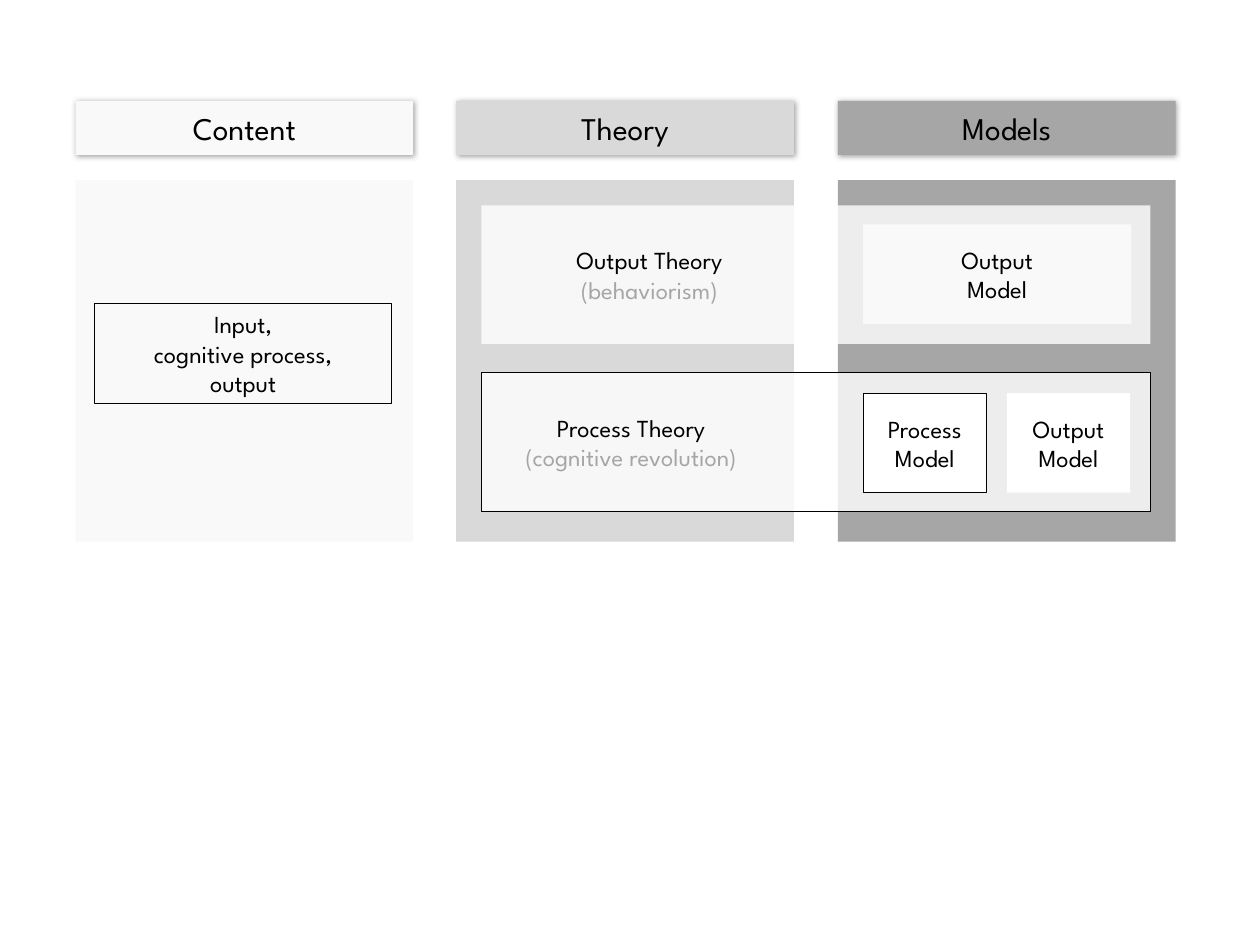
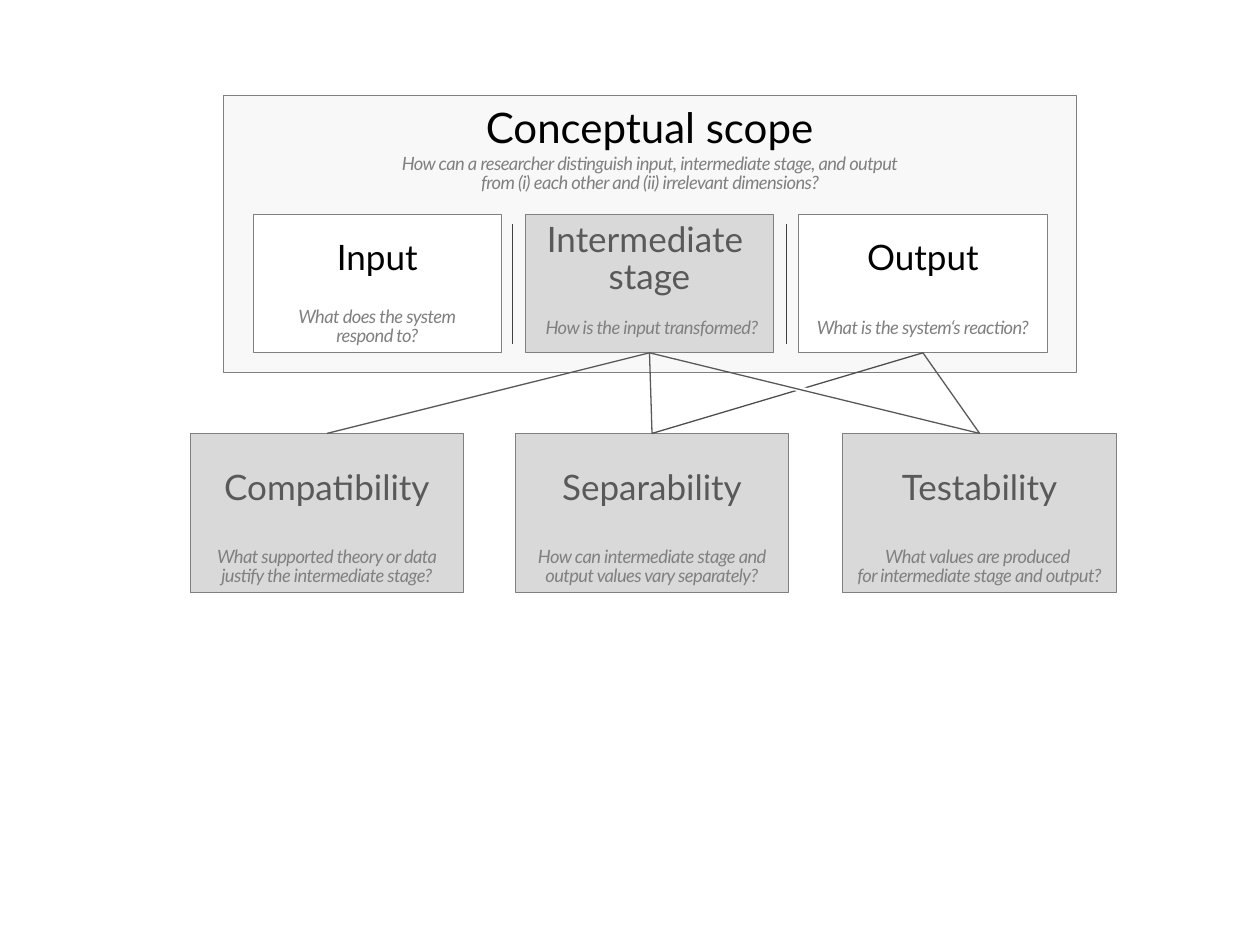
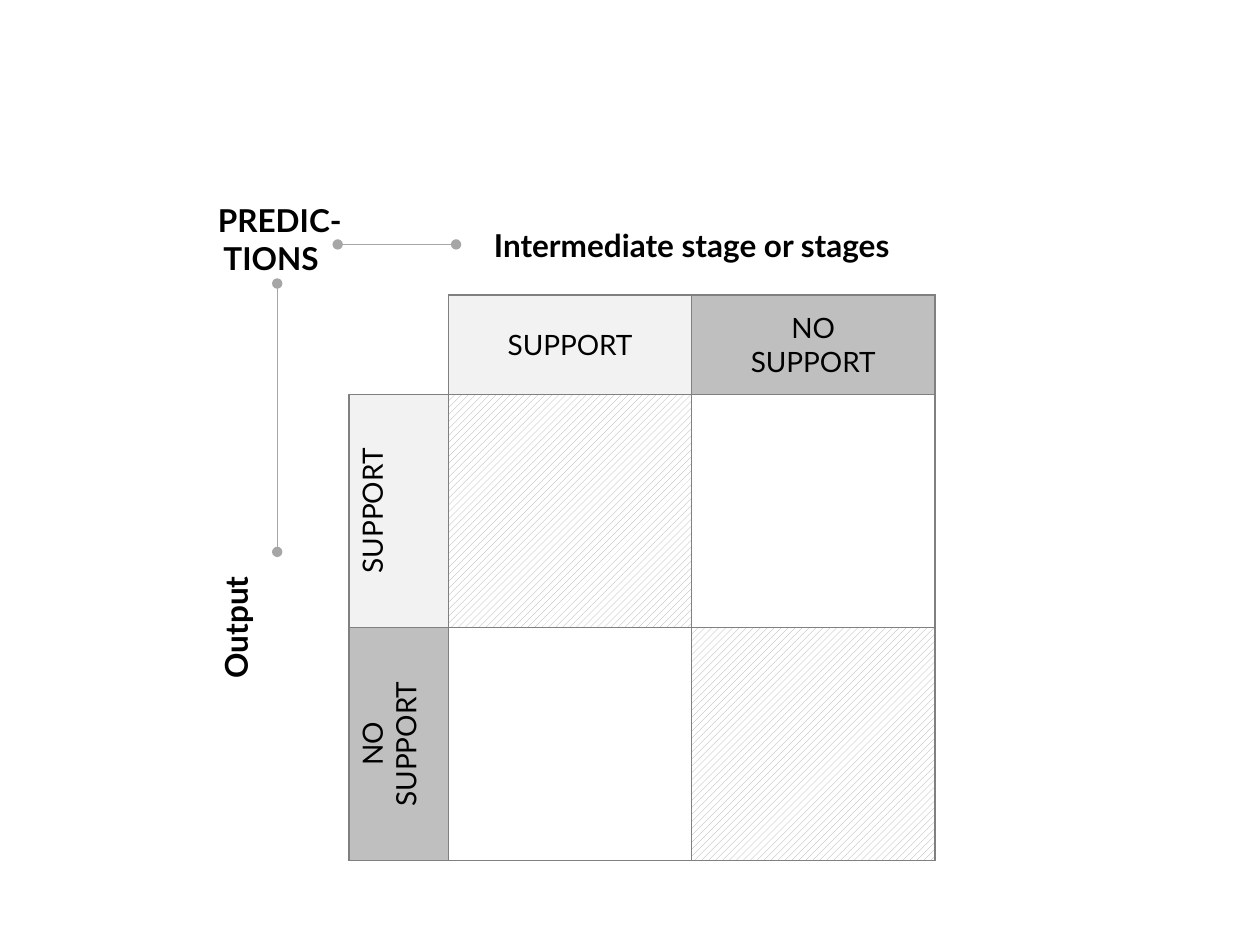
from lxml.etree import SubElement
from pptx import Presentation
from pptx.dml.color import RGBColor
from pptx.enum.dml import MSO_PATTERN
from pptx.enum.shapes import MSO_CONNECTOR, MSO_SHAPE
from pptx.enum.text import MSO_ANCHOR as ANCHOR, PP_ALIGN as ALIGN
from pptx.oxml.ns import qn
from pptx.util import Inches, Pt

BLACK = RGBColor(0x00, 0x00, 0x00)
CHARCOAL = RGBColor(0x40, 0x40, 0x40)
SLATE = RGBColor(0x4E, 0x4E, 0x4E)
DARK = RGBColor(0x59, 0x59, 0x59)
GREY = RGBColor(0x80, 0x80, 0x80)
MID = RGBColor(0xA6, 0xA6, 0xA6)
SILVER = RGBColor(0xBF, 0xBF, 0xBF)
LIGHT = RGBColor(0xD9, 0xD9, 0xD9)
PALE = RGBColor(0xF2, 0xF2, 0xF2)
MIST = RGBColor(0xF8, 0xF8, 0xF8)
SNOW = RGBColor(0xF9, 0xF9, 0xF9)
WHITE = RGBColor(0xFF, 0xFF, 0xFF)

SPARTAN = "League Spartan"
LATO = "Lato"


class Deck:
    """Holds the presentation, the current slide and the shared style."""

    def __init__(self):
        self.prs = Presentation()
        self.prs.slide_width, self.prs.slide_height = Inches(10), Inches(7.5)
        self.font = LATO

    def new_slide(self, font):
        self.s = self.prs.slides.add_slide(self.prs.slide_layouts[6])
        self.font = font

    def put_text(self, tf, paras, size, color=BLACK, last_color=None, bold=False,
                 italic=False, leading=None, tracking=None, margin=None):
        for i, text in enumerate(paras):
            p = tf.paragraphs[0] if i == 0 else tf.add_paragraph()
            p.alignment = ALIGN.CENTER
            p.font.name, p.font.size = self.font, Pt(size)
            p.font.color.rgb = color
            p.font.bold, p.font.italic = bold, italic
            if leading:
                p.line_spacing = Pt(leading)
            if margin:
                p._p.get_or_add_pPr().set("marL", str(Inches(margin)))
            for j, line in enumerate(text.split("\n")):
                if j:
                    p.add_line_break()
                r = p.add_run()
                r.text = line
                if tracking:
                    r._r.get_or_add_rPr().set("spc", str(tracking))
            if last_color is not None:
                r.font.color.rgb = last_color

    def box(self, x, y, w, h, fill=None, line=None, paras=(), size=14, alpha=None,
            right=0.1, bottom=0.05, anchor=ANCHOR.MIDDLE, shadow=False, **style):
        sp = self.s.shapes.add_shape(MSO_SHAPE.RECTANGLE, Inches(x), Inches(y),
                                     Inches(w), Inches(h))
        sp.shadow.inherit = False
        if fill is None:
            sp.fill.background()
        else:
            sp.fill.solid()
            sp.fill.fore_color.rgb = fill
        if alpha:
            clr = sp._element.spPr.find(".//" + qn("a:srgbClr"))
            SubElement(clr, qn("a:alpha"), val=str(alpha * 1000))
        if line is None:
            sp.line.fill.background()
        else:
            sp.line.color.rgb = line
            sp.line.width = Pt(0.5)
        if shadow:
            self.add_shadow(sp)
        tf = sp.text_frame
        tf.word_wrap = False
        tf.vertical_anchor = anchor
        tf.margin_right, tf.margin_bottom = Inches(right), Inches(bottom)
        self.put_text(tf, paras, size, **style)
        return sp

    def add_shadow(self, sp):
        effects = sp._element.spPr.find(qn("a:effectLst"))
        outer = SubElement(effects, qn("a:outerShdw"), blurRad=str(Pt(3)),
                           dist=str(Pt(1)), dir=str(45 * 60000), rotWithShape="0")
        clr = SubElement(outer, qn("a:srgbClr"), val=str(GREY))
        SubElement(clr, qn("a:alpha"), val="73000")

    def question(self, x, y, w, h, text):
        sp = self.s.shapes.add_textbox(Inches(x), Inches(y), Inches(w), Inches(h))
        tf = sp.text_frame
        tf.word_wrap = True
        tf.margin_left = tf.margin_right = tf.margin_bottom = Inches(0.04)
        tf.margin_top = 0
        self.put_text(tf, [text], 10.5, GREY, italic=True, leading=11, tracking=-30)

    def line(self, x1, y1, x2, y2, color, width=0.75, dots=False):
        c = self.s.shapes.add_connector(MSO_CONNECTOR.STRAIGHT, Inches(x1), Inches(y1),
                                        Inches(x2), Inches(y2))
        c.line.color.rgb = color
        c.line.width = Pt(width)
        if dots:
            ln = c._element.spPr.find(qn("a:ln"))
            for end in ("a:headEnd", "a:tailEnd"):
                SubElement(ln, qn(end), type="oval")
        SubElement(c._element.spPr, qn("a:effectLst"))
        return c

    def join(self, upper, lower, color=DARK):
        c = self.line(0, 0, 1, 1, color)
        c.begin_connect(upper, 2)
        c.end_connect(lower, 0)

    def table(self, x, y, cols, rows):
        t = self.s.shapes.add_table(len(rows), len(cols), Inches(x), Inches(y),
                                    Inches(sum(cols)), Inches(sum(rows))).table
        t.first_row = t.horz_banding = False
        for col, w in zip(t.columns, cols):
            col.width = Inches(w)
        for row, h in zip(t.rows, rows):
            row.height = Inches(h)
        return t

    def borders(self, cell, drawn):
        tc_pr = cell._tc.get_or_add_tcPr()
        for side in "LRTB":
            ln = SubElement(tc_pr, qn("a:ln" + side), w=str(Pt(1)))
            if side in drawn:
                SubElement(SubElement(ln, qn("a:solidFill")), qn("a:srgbClr"), val=str(GREY))
            else:
                SubElement(ln, qn("a:noFill"))

    def cell_text(self, cell, paras, size, bold=False, upright=False):
        cell.vertical_anchor = ANCHOR.MIDDLE
        if upright:
            cell._tc.get_or_add_tcPr().set("vert", "vert270")
        self.put_text(cell.text_frame, paras, size, bold=bold)


def theory_slide(d):
    d.new_slide(SPARTAN)
    columns = [(0.6, "Content", SNOW), (3.62, "Theory", LIGHT), (6.65, "Models", MID)]
    for x, title, color in columns:
        d.box(x, 0.8, 2.68, 0.43, color, paras=[title], size=18, shadow=True)
        d.box(x, 1.43, 2.68, 2.87, color)
    d.box(0.75, 2.41, 2.36, 0.79, line=BLACK, paras=["Input,", "cognitive process,\noutput"])
    bands = [(1.63, None, "Output Theory\n(behaviorism)", 0.29),
             (2.96, BLACK, "Process Theory\n(cognitive revolution)", None)]
    for y, line, text, margin in bands:
        d.box(3.82, y, 5.31, 1.1, WHITE, line, [text], alpha=80, right=3.03,
              last_color=MID, margin=margin)
    d.box(6.85, 1.78, 2.13, 0.79, WHITE, paras=["Output\nModel"], alpha=70)
    d.box(6.85, 3.12, 0.98, 0.79, WHITE, BLACK, ["Process\nModel"])
    d.box(7.99, 3.12, 0.98, 0.79, WHITE, paras=["Output\nModel"])


def scope_slide(d):
    d.new_slide(LATO)
    d.box(1.77, 0.76, 6.77, 2.2, MIST, GREY, ["Conceptual scope"], 24, alpha=90,
          anchor=ANCHOR.TOP)
    d.question(2.09, 1.23, 6.14, 0.35,
               "How can a researcher distinguish input, intermediate stage, and output\n"
               "from (i) each other and (ii) irrelevant dimensions?")

    stages = []
    for x, name, fill, color, bottom, leading in [
            (2.01, "Input", WHITE, BLACK, 0.47, None),
            (4.17, "Intermediate \nstage", LIGHT, DARK, 0.43, 21),
            (6.34, "Output", WHITE, BLACK, 0.47, None)]:
        stages.append(d.box(x, 1.7, 1.97, 1.1, fill, GREY, [name], 20, bottom=bottom,
                            color=color, leading=leading))
    d.question(2.01, 2.44, 1.97, 0.35, "What does the system\nrespond to?")
    d.question(4.19, 2.53, 1.97, 0.19, "How is the input transformed?")
    d.question(6.34, 2.53, 1.97, 0.19, "What is the system‘s reaction?")

    criteria = []
    for x, name, text in [
            (1.51, "Compatibility",
             "What supported theory or data justify the intermediate stage?"),
            (4.09, "Separability",
             "How can intermediate stage and output values vary separately?"),
            (6.69, "Testability",
             "What values are produced \nfor intermediate stage and output?")]:
        criteria.append(d.box(x, 3.44, 2.17, 1.26, LIGHT, GREY, [name], 20, bottom=0.47,
                              color=DARK))
        d.question(x, 4.35, 2.17, 0.35, text)

    _, intermediate, output = stages
    compatibility, separability, testability = criteria
    d.join(intermediate, separability)
    d.join(intermediate, compatibility)
    d.join(output, testability)
    d.join(output, separability, SLATE)
    d.line(6.19, 3.05, 6.49, 3.12, WHITE, 3)
    d.join(intermediate, testability)
    for x in (4.07, 6.24):
        d.line(x, 1.78, x, 2.73, CHARCOAL, 0.5)


def is_framed(row, col):
    return 1 <= row <= 3 and 1 <= col <= 3 and row + col >= 3


def predictions_slide(d):
    d.new_slide(LATO)
    t = d.table(1.67, 1.55, [1.1, 0.79, 1.93, 1.93], [0.79, 0.79, 1.85, 1.85])
    steps = {"L": (0, -1), "R": (0, 1), "T": (-1, 0), "B": (1, 0)}
    fills = {(1, 2): PALE, (2, 1): PALE, (1, 3): SILVER, (3, 1): SILVER}
    for row in range(4):
        for col in range(4):
            cell = t.cell(row, col)
            d.borders(cell, [side for side, (dr, dc) in steps.items()
                             if is_framed(row, col) or is_framed(row + dr, col + dc)])
            if row == col and row >= 2:
                cell.fill.patterned()
                cell.fill.pattern = MSO_PATTERN.WIDE_UPWARD_DIAGONAL
                cell.fill.fore_color.rgb = MID
                cell.fill.back_color.rgb = WHITE
            else:
                cell.fill.solid()
                cell.fill.fore_color.rgb = fills.get((row, col), WHITE)
    t.cell(0, 2).merge(t.cell(0, 3))
    t.cell(2, 0).merge(t.cell(3, 0))

    corner = t.cell(0, 0)
    d.cell_text(corner, ["PREDIC-", " TIONS"], 18, bold=True)
    corner.vertical_anchor = ANCHOR.TOP
    corner.margin_left = corner.margin_right = Inches(0.05)
    corner.text_frame.paragraphs[1].alignment = ALIGN.LEFT
    d.cell_text(t.cell(0, 2), ["Intermediate stage or stages"], 18, bold=True)
    d.cell_text(t.cell(2, 0), ["Output"], 18, bold=True, upright=True)
    for i, text in [(2, "SUPPORT"), (3, "NO\nSUPPORT")]:
        d.cell_text(t.cell(1, i), [text], 16)
        d.cell_text(t.cell(i, 1), [text], 16, upright=True)

    d.line(3.62, 1.94, 2.68, 1.94, MID, dots=True)
    d.line(2.2, 4.38, 2.2, 2.25, MID, dots=True)


def main():
    d = Deck()
    theory_slide(d)
    scope_slide(d)
    predictions_slide(d)
    d.prs.save("out.pptx")


if __name__ == "__main__":
    main()
